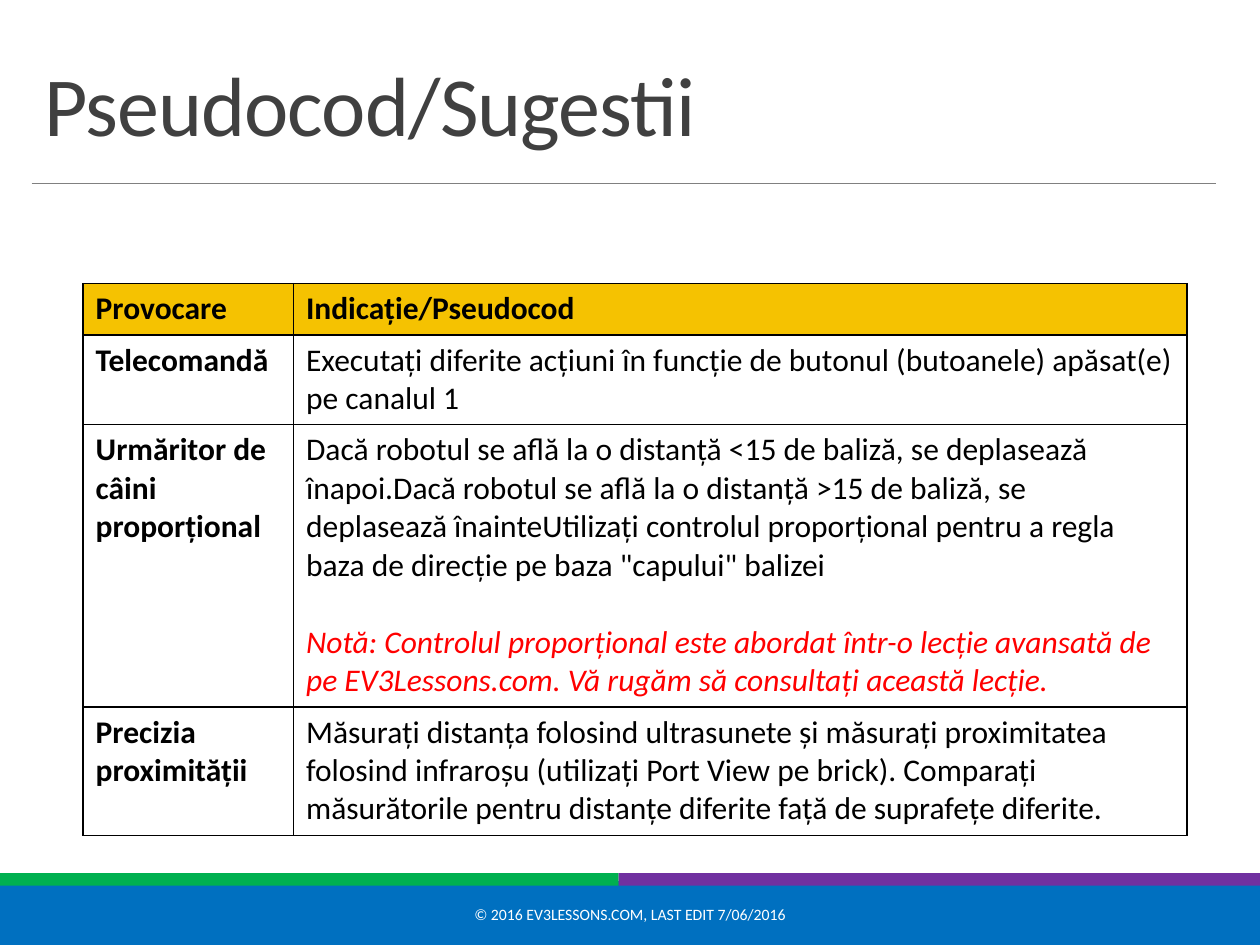
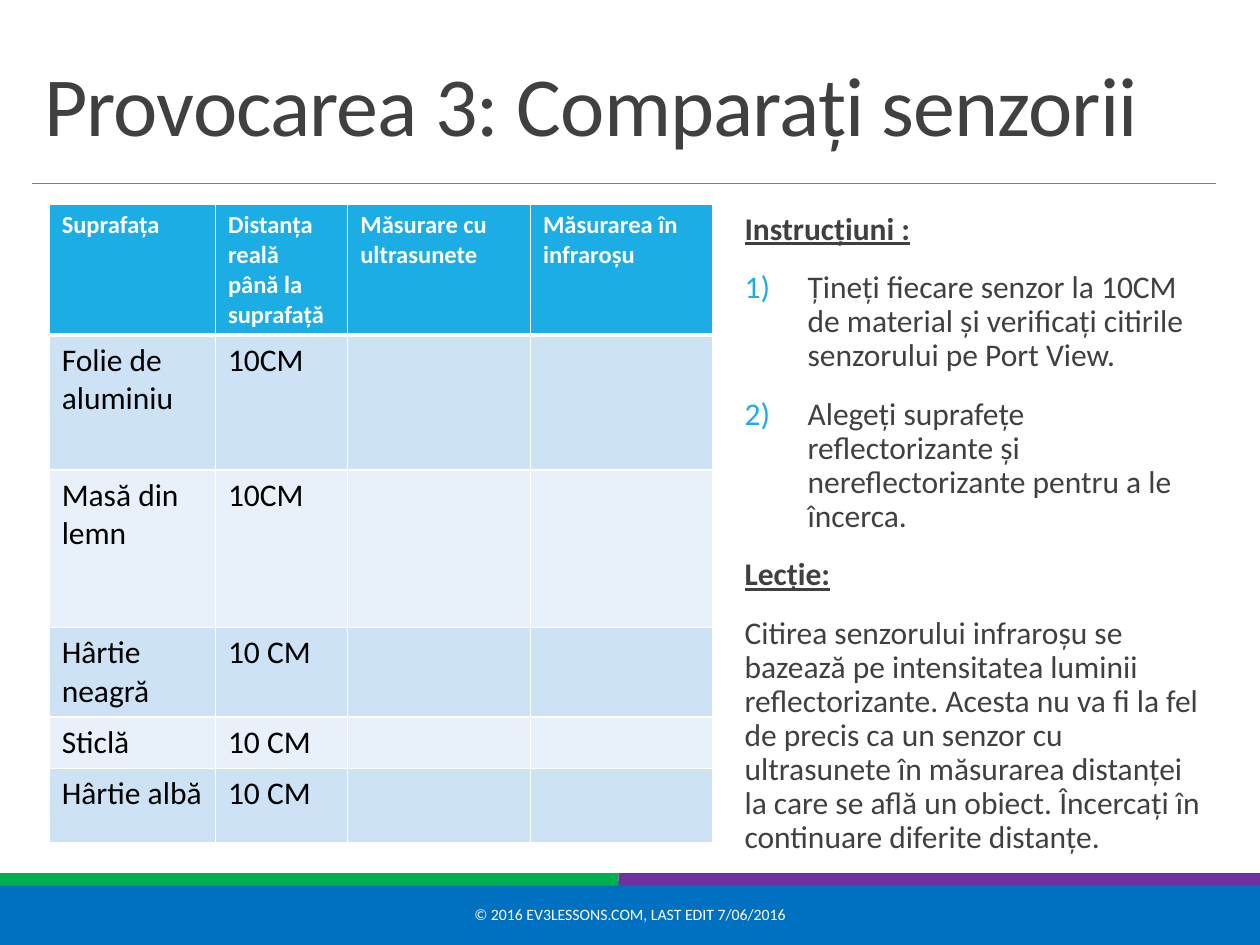
from lxml.etree import SubElement
from pptx import Presentation
from pptx.dml.color import RGBColor
from pptx.enum.shapes import MSO_CONNECTOR as Connector, MSO_SHAPE as Shape
from pptx.enum.text import MSO_ANCHOR as Anchor, MSO_AUTO_SIZE as AutoSize, PP_ALIGN as Align
from pptx.oxml.ns import qn
from pptx.util import Inches, Pt

SLIDE_WIDTH, SLIDE_HEIGHT = Inches(10), Inches(7.5)
COLUMN, ROW = SLIDE_WIDTH / 100, SLIDE_HEIGHT / 75
FONT = "Calibri"
BLACK, WHITE, GREY, DARK, RED = "000000", "FFFFFF", "808080", "404040", "FF0000"
BLUE, GREEN, PURPLE, GOLD, CYAN = "0070C0", "00B050", "7030A0", "F5C201", "1CADE4"
BANDS = ["E8F1FA", "CDE3F5"]
SEAM = 49.1
FOOTER = "© 2016 EV3LESSONS.COM, LAST EDIT 7/06/2016"

HINTS = [
    ["Provocare", "Indicație/Pseudocod"],
    ["Telecomandă",
     "Executați diferite acțiuni în funcție de butonul (butoanele) apăsat(e) pe canalul 1"],
    ["Urmăritor de câini proporțional",
     "Dacă robotul se află la o distanță <15 de baliză, se deplasează înapoi."
     "Dacă robotul se află la o distanță >15 de baliză, se deplasează înainte"
     "Utilizați controlul proporțional pentru a regla baza de direcție "
     "pe baza \"capului\" balizei"],
    ["Precizia proximității",
     "Măsurați distanța folosind ultrasunete și măsurați proximitatea folosind infraroșu "
     "(utilizați Port View pe brick). Comparați măsurătorile pentru distanțe diferite "
     "față de suprafețe diferite."],
]
NOTE = ("Notă: Controlul proporțional este abordat într-o lecție avansată de pe "
        "EV3Lessons.com. Vă rugăm să consultați această lecție.")
READINGS = [
    ["Suprafața", "Distanța reală până la suprafață", "Măsurare cu ultrasunete",
     "Măsurarea în infraroșu"],
    ["Folie de aluminiu", "10CM", "", ""],
    ["Masă din lemn", "10CM", "", ""],
    ["Hârtie neagră", "10 CM", "", ""],
    ["Sticlă", "10 CM", "", ""],
    ["Hârtie albă", "10 CM", "", ""],
]
INSTRUCTIONS = [
    ("heading", "Instrucțiuni :"),
    ("step", "Țineți fiecare senzor la 10CM de material și verificați citirile "
             "senzorului pe Port View."),
    ("step", "Alegeți suprafețe reflectorizante și nereflectorizante pentru a le încerca."),
    ("heading", "Lecție:"),
    ("plain", "Citirea senzorului infraroșu se bazează pe intensitatea luminii "
              "reflectorizante. Acesta nu va fi la fel de precis ca un senzor cu ultrasunete "
              "în măsurarea distanței la care se află un obiect. Încercați în continuare "
              "diferite distanțe."),
]


def rgb(value):
    """Turn a hex string into a colour."""
    return RGBColor.from_string(value)


def grid(*lengths):
    """Turn alternating column and row counts into slide lengths."""
    return [round(length * (ROW if index % 2 else COLUMN))
            for index, length in enumerate(lengths)]


def apply(target, values):
    """Set each format value on the target."""
    for name, value in values.items():
        setattr(target, name, value)


def write(para, text, size, color, **formats):
    """Add a formatted span to a paragraph."""
    span = para.add_run()
    span.text = text
    apply(span.font, {"name": FONT, "size": Pt(size), **formats})
    span.font.color.rgb = rgb(color)
    return span


def add_band(slide, left, top, width, height, color):
    """Draw a plain coloured band."""
    band = slide.shapes.add_shape(Shape.RECTANGLE, *grid(left, top, width, height))
    band.shadow.inherit = False
    band.fill.solid()
    band.fill.fore_color.rgb = rgb(color)
    band.line.fill.background()
    return band


def add_rule(slide, left, top, right):
    """Draw the thin line under the title."""
    rule = slide.shapes.add_connector(Connector.STRAIGHT, *grid(left, top, right, top))
    rule.line.color.rgb = rgb(GREY)
    rule.line.width = Pt(0.5)
    SubElement(rule._element.spPr, qn("a:effectLst"))


def add_text_box(slide, left, top, width, height, **formats):
    """Add a wrapping text box and return its frame."""
    frame = slide.shapes.add_textbox(*grid(left, top, width, height)).text_frame
    apply(frame, {"word_wrap": True, **formats})
    return frame


def set_title(slide, text):
    """Place and format the title placeholder."""
    title = slide.shapes.title
    apply(title, dict(zip(("left", "top", "width", "height"), grid(2.5, 3.1, 94, 9.6))))
    frame = title.text_frame
    apply(frame, {"word_wrap": True, "auto_size": AutoSize.NONE,
                  "vertical_anchor": Anchor.BOTTOM})
    para = frame.paragraphs[0]
    apply(para, {"alignment": Align.LEFT, "line_spacing": 0.85})
    span = write(para, text, 48, DARK)
    span._r.get_or_add_rPr().set("spc", "-50")


def add_page(deck, title):
    """Add a slide with the shared bands, rule, title and footer."""
    slide = deck.slides.add_slide(deck.slide_layouts[5])
    base = add_band(slide, 0, 70, 100, 5, BLUE)
    base.line.color.rgb = rgb(BLUE)
    base.line.width = Pt(1.25)
    add_band(slide, 0, 69.3, SEAM, 1, GREEN)
    add_band(slide, SEAM, 69.3, 100 - SEAM, 1, PURPLE)
    add_rule(slide, 2.5, 14.6, 96.5)
    set_title(slide, title)
    frame = add_text_box(slide, 30.2, 70.6, 39.6, 4, vertical_anchor=Anchor.MIDDLE)
    para = frame.paragraphs[0]
    para.alignment = Align.CENTER
    write(para, FOOTER, 9, WHITE)
    return slide


def set_borders(cell, color, top, bottom):
    """Give a cell solid borders, thin at the sides."""
    properties = cell._tc.get_or_add_tcPr()
    for side, width in zip("LRTB", (1, 1, top, bottom)):
        line = SubElement(properties, qn(f"a:ln{side}"), w=str(Pt(width)))
        fill = SubElement(line, qn("a:solidFill"))
        SubElement(fill, qn("a:srgbClr"), val=color)


def add_grid_table(slide, left, top, widths, heights, texts, style):
    """Add a table whose style gives the fill and font of every cell."""
    table = slide.shapes.add_table(
        len(heights), len(widths), *grid(left, top, sum(widths), sum(heights))).table
    apply(table, {"first_row": False, "horz_banding": False})
    for column, width in zip(table.columns, widths):
        column.width = round(width * COLUMN)
    for row, height in zip(table.rows, heights):
        row.height = round(height * ROW)
    for i, row_texts in enumerate(texts):
        for j, text in enumerate(row_texts):
            cell = table.cell(i, j)
            header_rule = style["header_rule"]
            set_borders(cell, style["border"], header_rule if i == 1 else 1,
                        header_rule if i == 0 else 1)
            fill, formats = style["cell"](i, j)
            if fill:
                cell.fill.solid()
                cell.fill.fore_color.rgb = rgb(fill)
            else:
                cell.fill.background()
            if text:
                write(cell.text_frame.paragraphs[0], text, **formats)
    return table


def hint_cell(row, column):
    """Return fill and font for a cell of the hints table."""
    return (None if row else GOLD,
            {"size": 18, "color": BLACK, "bold": row == 0 or column == 0})


def reading_cell(row, column):
    """Return fill and font for a cell of the readings table."""
    if row == 0:
        return CYAN, {"size": 14, "color": WHITE, "bold": True}
    return BANDS[row % 2], {"size": 18, "color": BLACK, "bold": False}


def number(para):
    """Give a paragraph a coloured number and a hanging indent."""
    properties = para._p.get_or_add_pPr()
    indent = Inches(0.5)
    properties.set("marL", str(indent))
    properties.set("indent", str(-indent))
    color = SubElement(properties, qn("a:buClr"))
    SubElement(color, qn("a:srgbClr"), val=CYAN)
    SubElement(properties, qn("a:buAutoNum"), type="arabicParenR")


def add_instructions(slide):
    """Write the headings, numbered steps and lesson text."""
    frame = add_text_box(slide, 59.1, 16.4, 37, 50.6, margin_left=0, margin_right=0)
    for index, (kind, text) in enumerate(INSTRUCTIONS):
        para = frame.add_paragraph() if index else frame.paragraphs[0]
        apply(para, {"line_spacing": 0.9, "space_after": Pt(2),
                     "space_before": Pt(12 if index else 0)})
        if kind == "step":
            number(para)
        heading = kind == "heading"
        write(para, text, 18, DARK, bold=heading, underline=heading)


def build_hints(deck):
    """Build the slide with a hint for each challenge."""
    slide = add_page(deck, "Pseudocod/Sugestii")
    table = add_grid_table(slide, 6.6, 22.5, [16.7, 70.9], [4.1, 7.1, 22.4, 10.2], HINTS,
                           {"border": BLACK, "header_rule": 1, "cell": hint_cell})
    para = table.cell(2, 1).text_frame.add_paragraph()
    para.space_before = Pt(22)
    write(para, NOTE, 18, RED, italic=True)


def build_comparison(deck):
    """Build the slide that compares the sensors."""
    slide = add_page(deck, "Provocarea 3: Comparați senzorii")
    add_instructions(slide)
    add_grid_table(slide, 3.9, 16.2, [13.2, 10.5, 14.5, 14.5],
                   [10.4, 10.7, 12.5, 7.1, 4.1, 5.9], READINGS,
                   {"border": WHITE, "header_rule": 3, "cell": reading_cell})


def main():
    """Build and save the deck."""
    deck = Presentation()
    apply(deck, {"slide_width": SLIDE_WIDTH, "slide_height": SLIDE_HEIGHT})
    build_hints(deck)
    build_comparison(deck)
    deck.save("out.pptx")


if __name__ == "__main__":
    main()
